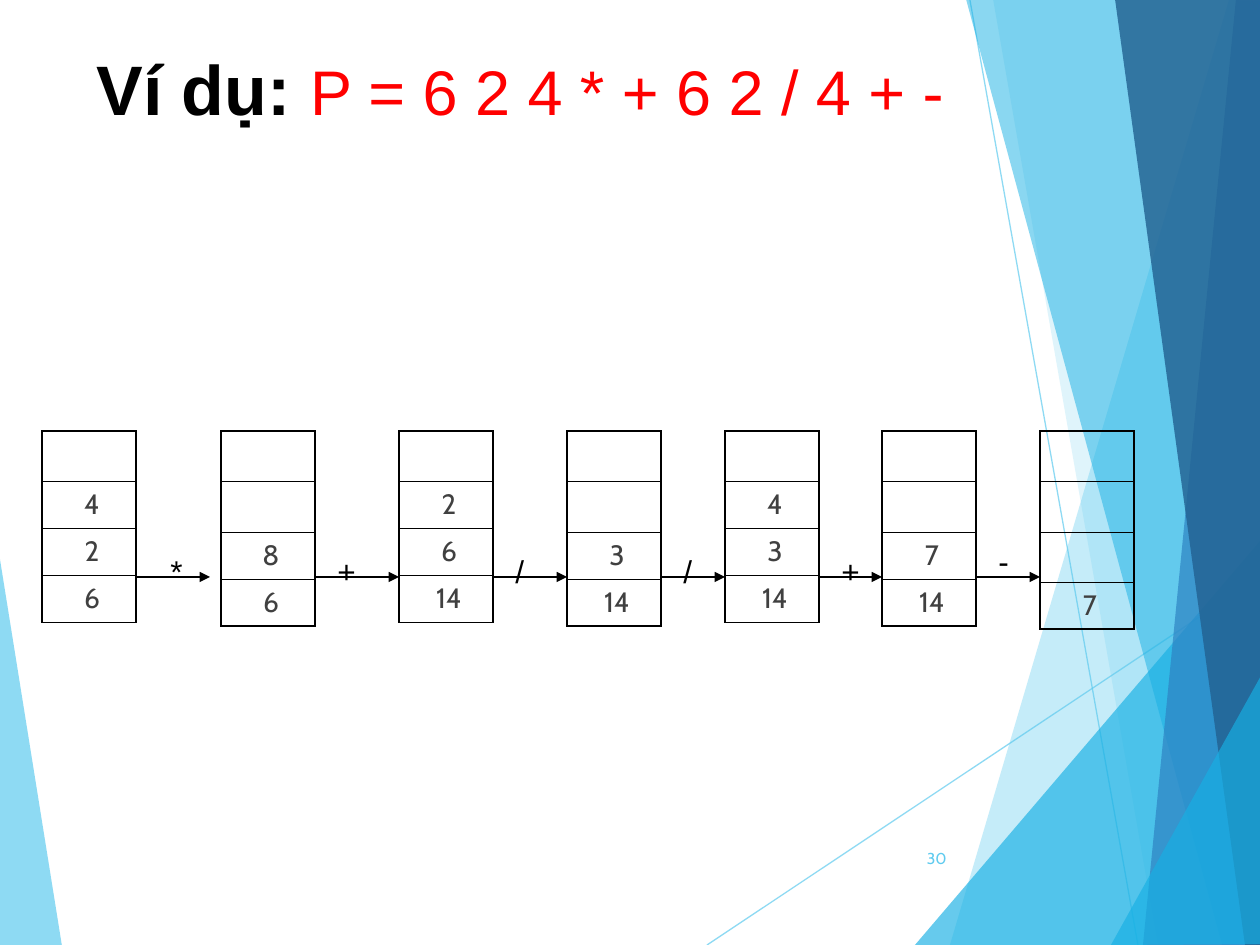
from dataclasses import dataclass

from lxml import etree
from pptx import Presentation, util as u
from pptx.dml.color import RGBColor
from pptx.enum import shapes, text
from pptx.oxml import ns


@dataclass(frozen=True)
class Theme:
    sky: str = "5FCBEF"
    cyan: str = "17B0E4"
    blue: str = "2E83C3"
    navy: str = "236292"
    ink: str = "000000"
    grey: str = "404040"
    red: str = "FF0000"
    sans: str = "Arial"
    body: str = "Cabin"
    head: int = 40
    term: int = 36
    sign: int = 18
    cell: int = 16
    foot: int = 9
    thin: float = 0.45
    mid: float = 0.75
    bold: float = 1.08


SCALE = 914400 / 126


def emu(px):
    return u.Emu(round(px * SCALE))


def sub(node, tag, **attrs):
    return etree.SubElement(node, ns.qn(tag), attrs)


def fade(shape, alpha):
    for color in shape._element.spPr.iter(ns.qn("a:srgbClr")):
        sub(color, "a:alpha", val=str(alpha * 1000))


class Deck:
    def __init__(self, theme):
        self.theme = theme
        self.file = Presentation()
        self.file.slide_width, self.file.slide_height = emu(1260), emu(945)
        self.slide = self.file.slides.add_slide(self.file.slide_layouts[6])
        self.shapes = self.slide.shapes

    def font(self, font, name, size, color, bold=False):
        font.name, font.size, font.bold = name, u.Pt(size), bold
        font.color.rgb = RGBColor.from_string(color)

    def facet(self, color, alpha, points):
        pen = self.shapes.build_freeform(*points[0], scale=SCALE)
        pen.add_line_segments(points[1:], close=True)
        shape = pen.convert_to_shape()
        shape.shadow.inherit = False
        shape.fill.solid()
        shape.fill.fore_color.rgb = RGBColor.from_string(color)
        shape.line.fill.background()
        fade(shape, alpha)

    def line(self, start, end, color):
        kind = shapes.MSO_CONNECTOR.STRAIGHT
        line = self.shapes.add_connector(kind, *map(emu, start + end))
        line.line.width = u.Pt(self.theme.mid)
        line.line.color.rgb = RGBColor.from_string(color)
        sub(line._element.spPr, "a:effectLst")
        return line

    def arrow(self, left, right, y):
        line = self.line((left, y), (right, y), self.theme.ink)
        sub(line.line._get_or_add_ln(), "a:tailEnd", type="triangle")

    def box(self, left, top, width, height):
        frame = self.shapes.add_textbox(*map(emu, (left, top, width, height))).text_frame
        frame.word_wrap = True
        return frame

    def title(self, label, term):
        t = self.theme
        frame = self.box(84, 32, 874, 181)
        frame.margin_top = emu(14)
        para = frame.paragraphs[0]
        for words, size, color, bold in ((label, t.head, t.ink, True), (term, t.term, t.red, False)):
            run = para.add_run()
            run.text = words
            self.font(run.font, t.sans, size, color, bold)

    def number(self, words):
        frame = self.box(888, 833, 71, 50)
        frame.vertical_anchor = text.MSO_ANCHOR.MIDDLE
        para = frame.paragraphs[0]
        para.text, para.alignment = words, text.PP_ALIGN.RIGHT
        self.font(para.font, self.theme.body, self.theme.foot, self.theme.sky)

    def sign(self, words, left, top):
        para = self.box(left, top, 53, 50).paragraphs[0]
        para.text = words
        self.font(para.font, self.theme.sans, self.theme.sign, self.theme.ink)

    def edges(self, cell, first, last):
        t = self.theme
        widths = {"L": t.bold, "R": t.bold, "T": t.bold if first else t.thin, "B": t.bold if last else t.thin}
        props = cell._tc.get_or_add_tcPr()
        for side, width in widths.items():
            edge = sub(props, f"a:ln{side}", w=str(u.Pt(width)))
            sub(sub(edge, "a:solidFill"), "a:srgbClr", val=t.ink)
        cell.fill.background()

    def stack(self, items, left, top, width):
        t, size = self.theme, 4
        table = self.shapes.add_table(size, 1, *map(emu, (left, top, width, 189))).table
        table.first_row = table.horz_banding = False
        for i, words in enumerate([""] * (size - len(items)) + items):
            table.rows[i].height = emu(47)
            cell = table.cell(i, 0)
            self.edges(cell, i == 0, i == size - 1)
            para = cell.text_frame.paragraphs[0]
            para.alignment = text.PP_ALIGN.CENTER
            if words:
                para.text = words
                para._p.get_or_add_pPr().set("marL", str(emu(6)))
            self.font(para.font, t.body, t.cell if words else t.sign, t.grey)


def main():
    t = Theme()
    deck = Deck(t)

    deck.facet(t.sky, 70, [(-1, 553), (62, 946), (-1, 945)])
    for start, end in (((707, 945), (1261, 576)), ((970, 0), (1138, 945))):
        fade(deck.line(start, end, t.sky), 70)
    facets = (
        (t.sky, 36, [(1229, 0), (950, 945), (1262, 946), (1261, 1)]),
        (t.sky, 20, [(993, -1), (1158, 945), (1261, 945), (1261, -1)]),
        (t.cyan, 66, [(915, 945), (1260, 541), (1261, 945)]),
        (t.cyan, 50, [(966, -1), (1222, 945), (1261, 944), (1261, -1)]),
        (t.blue, 70, [(1236, -1), (1143, 945), (1261, 945), (1260, -1)]),
        (t.navy, 82, [(1115, -1), (1245, 945), (1262, 945), (1260, -1)]),
        (t.cyan, 66, [(1111, 945), (1262, 674), (1262, 944)]),
    )
    for facet in facets:
        deck.facet(*facet)

    deck.title("Ví dụ: ", "P = 6 2 4 * + 6 2 / 4 + -")
    deck.number("30")

    width = 94
    lefts = [42, 221, 399, 567, 725, 882, 1040]
    stacks = ["4 2 6", "8 6", "2 6 14", "3 14", "4 3 14", "7 14", "7"]
    for left, items in zip(lefts, stacks):
        deck.stack(items.split(), left, 431, width)

    ends = [210] + lefts[2:]
    ends.insert(1, lefts[2])
    ends = [210, *lefts[2:]]
    for sign, left, end in zip("*+//+-", lefts, ends):
        start = left + width
        deck.sign(sign, start + (22 if sign == "*" else 10), 536 if sign == "-" else 546)
        deck.arrow(start, end, 577)

    deck.file.save("out.pptx")


if __name__ == "__main__":
    main()
